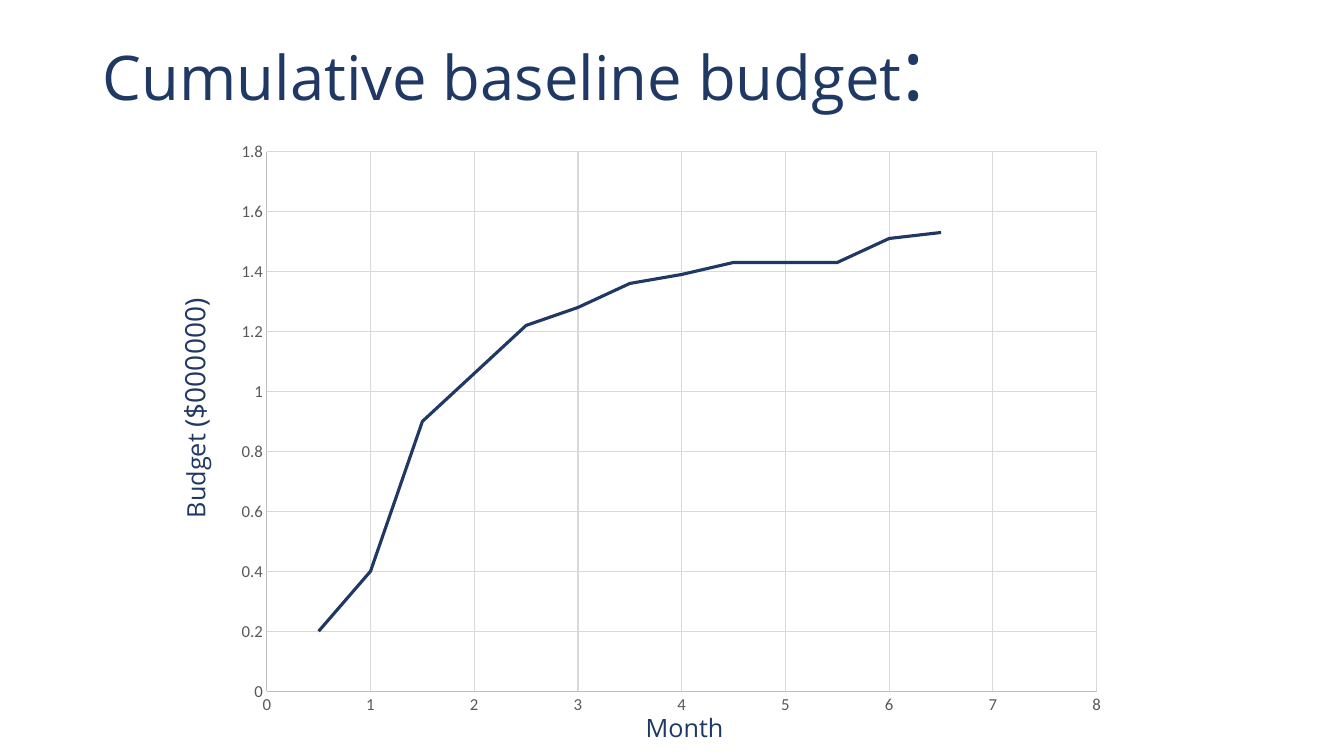
from lxml.etree import SubElement
from pptx import Presentation
from pptx.chart.data import XyChartData
from pptx.dml.color import RGBColor
from pptx.enum.chart import XL_CHART_TYPE as ChartType, XL_TICK_MARK as TickMark
from pptx.enum.text import MSO_ANCHOR as Anchor, MSO_AUTO_SIZE as AutoSize, PP_ALIGN as Align
from pptx.oxml.ns import qn
from pptx.util import Inches, Pt

WIDTH, HEIGHT = Inches(13.33), Inches(7.5)
COLOURS = {"navy": "203864", "tick": "595959", "axis": "BFBFBF", "grid": "D9D9D9"}
BUDGET = [0.2, 0.4, 0.9, 1.06, 1.22, 1.28, 1.36, 1.39, 1.43, 1.43, 1.43, 1.51, 1.53]
MONTH_STEP = 0.5
PLOT_AREA = {"x": 0.048, "y": 0.036, "w": 0.926, "h": 0.903}


def colour(name):
    """Return the named colour."""
    return RGBColor.from_string(COLOURS[name])


def box(left, top, width, height):
    """Turn percentages of the slide into lengths."""
    return [int(side * share / 100) for side, share in
            zip((WIDTH, HEIGHT, WIDTH, HEIGHT), (left, top, width, height))]


def style_line(line, name, width):
    """Give a line its colour and width."""
    line.color.rgb = colour(name)
    line.width = Pt(width)


def write_text(shape, runs, align):
    """Fill a shape with one navy paragraph of (text, size) runs."""
    frame = shape.text_frame
    frame.word_wrap = True
    frame.auto_size = AutoSize.NONE
    frame.vertical_anchor = Anchor.MIDDLE
    paragraph = frame.paragraphs[0]
    paragraph.alignment = align
    paragraph.font.name = "Open Sans"
    paragraph.font.color.rgb = colour("navy")
    for text, size in runs:
        run = paragraph.add_run()
        run.text = text
        run.font.size = Pt(size)
    return paragraph


def add_title(slide, runs, place):
    """Place and fill the title."""
    title = slide.shapes.title
    title.left, title.top, title.width, title.height = place
    write_text(title, runs, Align.LEFT).line_spacing = 0.9


def add_label(slide, runs, place, rotation=0):
    """Add a centred axis label."""
    label = slide.shapes.add_textbox(*place)
    label.rotation = rotation
    write_text(label, runs, Align.CENTER)


def style_axis(axis, maximum, step):
    """Scale an axis from zero and format its lines and labels."""
    axis.minimum_scale, axis.maximum_scale, axis.major_unit = 0, maximum, step
    axis.has_title = False
    axis.has_major_gridlines = True
    axis.major_tick_mark = axis.minor_tick_mark = TickMark.NONE
    style_line(axis.format.line, "axis", 0.75)
    style_line(axis.major_gridlines.format.line, "grid", 0.75)
    labels = axis.tick_labels
    labels.number_format, labels.number_format_is_linked = "General", False
    labels.font.name = "Calibri"
    labels.font.size = Pt(12)
    labels.font.color.rgb = colour("tick")


def fix_plot_area(chart):
    """Pin the inner plot area to its share of the chart."""
    plot_area = chart.plots[0]._element.getparent()
    layout = plot_area.find(qn("c:layout"))
    if layout is None:
        layout = SubElement(plot_area, qn("c:layout"))
        plot_area.insert(0, layout)
    manual = SubElement(layout, qn("c:manualLayout"))
    settings = {"layoutTarget": "inner", "xMode": "edge", "yMode": "edge", **PLOT_AREA}
    for tag, value in settings.items():
        SubElement(manual, qn(f"c:{tag}")).set("val", str(value))


def add_budget_chart(slide, place):
    """Add the smooth curve of budget by month."""
    data = XyChartData()
    points = data.add_series("Series 1")
    for index, budget in enumerate(BUDGET, start=1):
        points.add_data_point(index * MONTH_STEP, budget)
    chart = slide.shapes.add_chart(ChartType.XY_SCATTER_SMOOTH_NO_MARKERS, *place, data).chart
    chart.has_legend = chart.has_title = False
    chart.font.name = "Calibri"
    chart.font.size = Pt(10)
    chart.plots[0].vary_by_categories = False
    series = chart.plots[0].series[0]
    series.smooth = True
    style_line(series.format.line, "navy", 2.25)
    style_axis(chart.category_axis, 8, 1)
    style_axis(chart.value_axis, 1.8, 0.2)
    fix_plot_area(chart)


def main():
    """Build and save the budget slide."""
    presentation = Presentation()
    presentation.slide_width, presentation.slide_height = WIDTH, HEIGHT
    slide = presentation.slides.add_slide(presentation.slide_layouts.get_by_name("Title Only"))
    add_title(slide, [("Cumulative baseline budget", 44), (":", 60)], box(6.9, 0, 86.27, 19.33))
    add_budget_chart(slide, box(16.65, 17.2, 66.69, 79.07))
    add_label(slide, [("Budget ", 18), ("($000000)", 20)], box(1.35, 50, 26.18, 8), rotation=270)
    add_label(slide, [("Month", 18)], box(42.76, 93.33, 16.35, 5.73))
    presentation.save("out.pptx")


if __name__ == "__main__":
    main()
